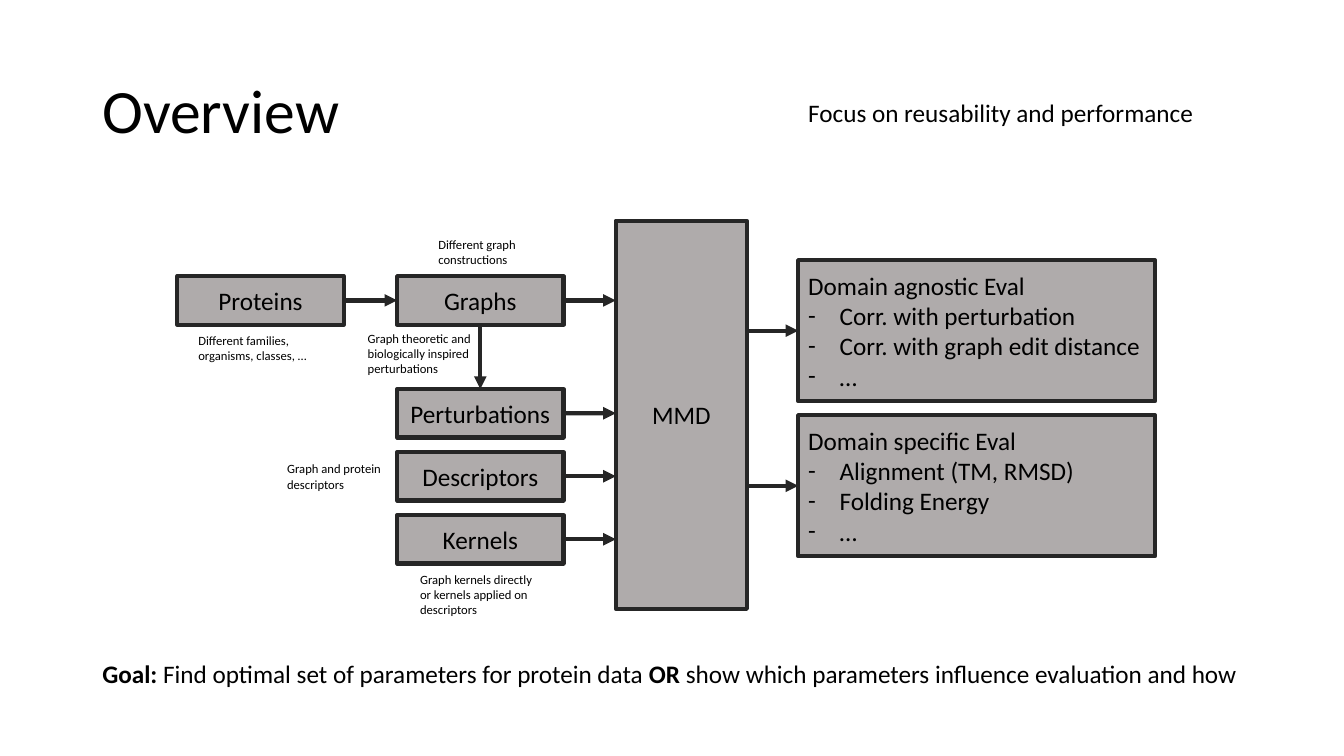
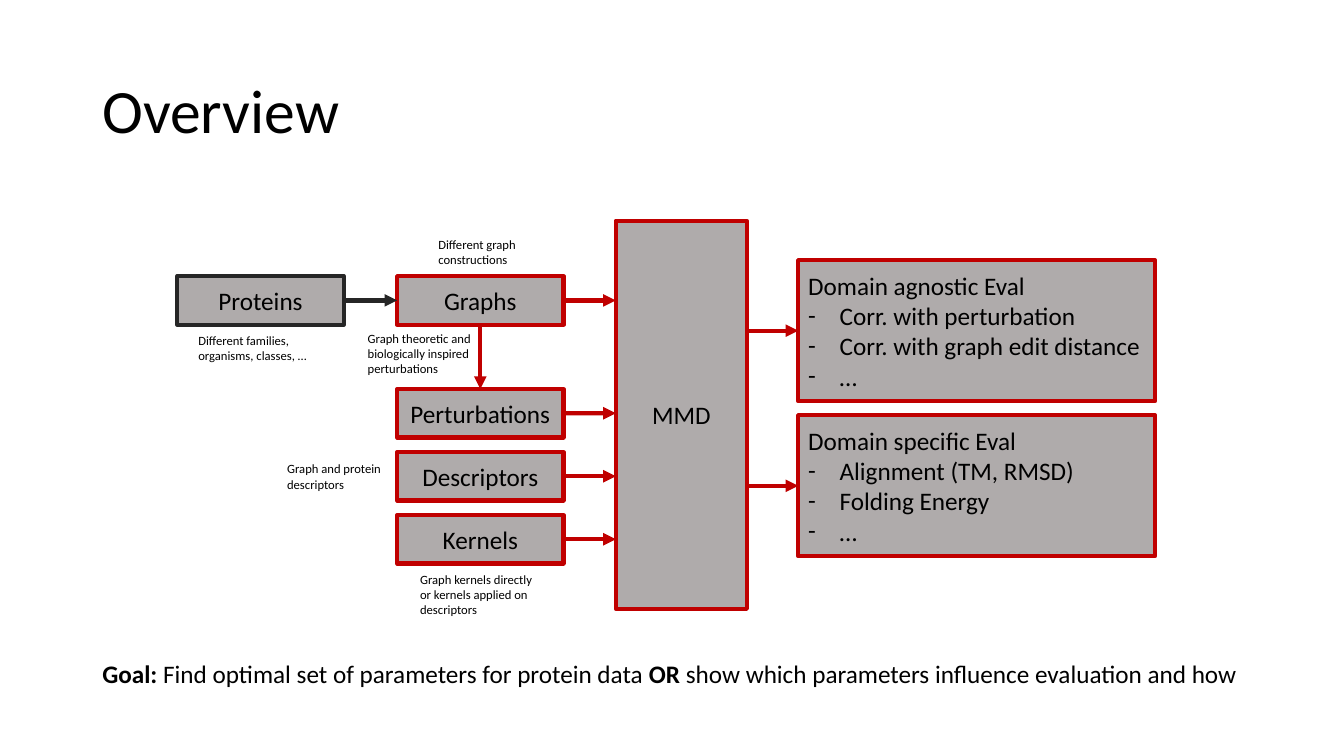
"""Build two overview slides of a graph evaluation pipeline."""
import dataclasses

import lxml.etree
import pptx
import pptx.dml.color
import pptx.enum.shapes
import pptx.enum.text
import pptx.oxml.ns
import pptx.shapes.autoshape
import pptx.slide
import pptx.text.text
import pptx.util

Pt = pptx.util.Pt
Align = pptx.enum.text.PP_ALIGN
Anchor = pptx.enum.text.MSO_ANCHOR

COLORS = {"text": "000000", "fill": "AFABAB", "neutral": "262626", "focus": "C00000"}
FONT = "Calibri"
BODY_SIZE, NOTE_SIZE, TITLE_SIZE = 18, 9, 44
OUTLINE = 3
BULLET_INDENT = 22.5
STEP_WIDTH, STEP_HEIGHT = 118.8, 34.6
COLUMN_LEFT, ROW_TOP = 283.7, 197.3
PERTURBATIONS_TOP, STEP_PITCH = 277.9, 45
EVAL_LEFT, EVAL_WIDTH, EVAL_HEIGHT = 570.2, 254.9, 100.8
EVAL_TOP, EVAL_PITCH = 185.8, 110.8
TOP_SITE, LEFT_SITE, BOTTOM_SITE, RIGHT_SITE = range(4)


@dataclasses.dataclass(frozen=True)
class Run:
    """A stretch of text with one weight."""
    text: str
    bold: bool = False


@dataclasses.dataclass(frozen=True)
class Box:
    """A pipeline stage, with optional bulleted details."""
    name: str
    left: float
    top: float
    width: float = STEP_WIDTH
    height: float = STEP_HEIGHT
    details: tuple[str, ...] = ()

    @property
    def right(self) -> float:
        """Return the right edge."""
        return self.left + self.width

    @property
    def middle(self) -> float:
        """Return the vertical centre."""
        return self.top + self.height / 2


@dataclasses.dataclass(frozen=True)
class Label:
    """Free text made of paragraphs of runs."""
    left: float
    top: float
    width: float
    height: float
    paragraphs: tuple[tuple[Run, ...], ...]
    size: float = NOTE_SIZE
    wrap: bool = True
    anchor: Anchor = Anchor.TOP
    line_spacing: float = 1.0


@dataclasses.dataclass(frozen=True)
class Overview:
    """What differs between the two slides."""
    pipeline_color: str
    extra_labels: tuple[Label, ...] = ()


PROTEINS = Box("Proteins", 126.7, ROW_TOP)
GRAPHS = Box("Graphs", COLUMN_LEFT, ROW_TOP)
PERTURBATIONS, DESCRIPTORS, KERNELS = (
    Box(name, COLUMN_LEFT, PERTURBATIONS_TOP + row * STEP_PITCH)
    for row, name in enumerate(("Perturbations", "Descriptors", "Kernels"))
)
MMD = Box("MMD", 439.9, 157.7, 93.6, 277.2)
AGNOSTIC, SPECIFIC = (
    Box(name, EVAL_LEFT, EVAL_TOP + row * EVAL_PITCH, EVAL_WIDTH, EVAL_HEIGHT, details)
    for row, (name, details) in enumerate((
        ("Domain agnostic Eval",
         ("Corr. with perturbation", "Corr. with graph edit distance", "…")),
        ("Domain specific Eval", ("Alignment (TM, RMSD)", "Folding Energy", "…")),
    ))
)
MMD_INPUTS = (GRAPHS, PERTURBATIONS, DESCRIPTORS, KERNELS)
EVALUATIONS = (AGNOSTIC, SPECIFIC)
STAGES = (PROTEINS, *MMD_INPUTS, MMD, *EVALUATIONS)
FLOWS = (
    (PROTEINS, GRAPHS),
    (GRAPHS, PERTURBATIONS),
    *((stage, MMD) for stage in MMD_INPUTS),
    *((MMD, evaluation) for evaluation in EVALUATIONS),
)

SHARED_LABELS = (
    Label(66, 28.8, 828, 104.4, ((Run("Overview"),),), TITLE_SIZE,
          anchor=Anchor.MIDDLE, line_spacing=0.9),
    Label(66, 466.6, 831, 29, ((
        Run("Goal: ", True),
        Run("Find optimal set of parameters for protein data "),
        Run("OR", True),
        Run(" show which parameters influence evaluation and how"),
    ),), BODY_SIZE, wrap=False),
    Label(134.6, 234, 93, 29,
          ((Run("Different families,"),), (Run("organisms, classes, …"),)), wrap=False),
    Label(198, 326, 85.7, 29, ((Run("Graph and protein descriptors"),),)),
    Label(306, 165.6, 85.7, 29, ((Run("Different graph constructions"),),)),
    Label(255.6, 232.6, 100.8, 40,
          ((Run("Graph theoretic and biologically inspired perturbations"),),)),
    Label(293, 404.6, 99.4, 40,
          ((Run("Graph kernels directly or kernels applied on descriptors"),),)),
)
REUSE_FOCUS = Label(570.2, 66.2, 293, 29,
                    ((Run("Focus on reusability and performance"),),), BODY_SIZE, wrap=False)
OVERVIEWS = (Overview("neutral", (REUSE_FOCUS,)), Overview("focus"))


def rgb(name: str) -> pptx.dml.color.RGBColor:
    """Look up a named colour."""
    return pptx.dml.color.RGBColor.from_string(COLORS[name])


def add_run(paragraph: pptx.text.text._Paragraph, content: Run, size: float) -> None:
    """Append one styled run."""
    run = paragraph.add_run()
    run.text = content.text
    run.font.name = FONT
    run.font.size = Pt(size)
    run.font.bold = content.bold
    run.font.color.rgb = rgb("text")


def add_dash(paragraph: pptx.text.text._Paragraph) -> None:
    """Give a paragraph a hanging dash bullet."""
    properties = paragraph._p.get_or_add_pPr()
    properties.set("marL", str(Pt(BULLET_INDENT)))
    properties.set("indent", str(-Pt(BULLET_INDENT)))
    lxml.etree.SubElement(properties, pptx.oxml.ns.qn("a:buFont"), typeface=FONT)
    lxml.etree.SubElement(properties, pptx.oxml.ns.qn("a:buChar"), char="-")


def draw_label(slide: pptx.slide.Slide, label: Label) -> None:
    """Draw free text."""
    frame = slide.shapes.add_textbox(
        Pt(label.left), Pt(label.top), Pt(label.width), Pt(label.height)).text_frame
    frame.word_wrap = label.wrap
    frame.vertical_anchor = label.anchor
    for index, runs in enumerate(label.paragraphs):
        paragraph = frame.add_paragraph() if index else frame.paragraphs[0]
        paragraph.line_spacing = label.line_spacing
        for run in runs:
            add_run(paragraph, run, label.size)


def draw_stage(slide: pptx.slide.Slide, box: Box,
               color: str) -> pptx.shapes.autoshape.Shape:
    """Draw a pipeline stage."""
    stage = slide.shapes.add_shape(
        pptx.enum.shapes.MSO_SHAPE.RECTANGLE,
        Pt(box.left), Pt(box.top), Pt(box.width), Pt(box.height))
    stage.shadow.inherit = False
    stage.fill.solid()
    stage.fill.fore_color.rgb = rgb("fill")
    stage.line.color.rgb = rgb(color)
    stage.line.width = Pt(OUTLINE)
    frame = stage.text_frame
    frame.word_wrap = True
    frame.vertical_anchor = Anchor.MIDDLE
    heading = frame.paragraphs[0]
    heading.alignment = Align.LEFT if box.details else Align.CENTER
    add_run(heading, Run(box.name), BODY_SIZE)
    for detail in box.details:
        paragraph = frame.add_paragraph()
        paragraph.alignment = Align.LEFT
        add_dash(paragraph)
        add_run(paragraph, Run(detail), BODY_SIZE)
    return stage


def draw_flow(slide: pptx.slide.Slide, source: Box, target: Box,
              stages: dict[str, pptx.shapes.autoshape.Shape], color: str) -> None:
    """Draw an arrow between stages, level with the shorter one."""
    level = min(source, target, key=lambda box: box.height).middle
    flow = slide.shapes.add_connector(
        pptx.enum.shapes.MSO_CONNECTOR.STRAIGHT,
        Pt(source.right), Pt(level), Pt(target.left), Pt(level))
    downward = source.left == target.left
    if source is not MMD:
        flow.begin_connect(stages[source.name], BOTTOM_SITE if downward else RIGHT_SITE)
    if target is not MMD:
        flow.end_connect(stages[target.name], TOP_SITE if downward else LEFT_SITE)
    flow.line.color.rgb = rgb(color)
    flow.line.width = Pt(OUTLINE)
    lxml.etree.SubElement(
        flow.line._get_or_add_ln(), pptx.oxml.ns.qn("a:tailEnd"), type="triangle")
    lxml.etree.SubElement(flow._element.spPr, pptx.oxml.ns.qn("a:effectLst"))


def draw_overview(slide: pptx.slide.Slide, overview: Overview) -> None:
    """Draw the whole pipeline on one slide."""
    colors = {box.name: overview.pipeline_color for box in STAGES}
    colors[PROTEINS.name] = "neutral"
    stages = {box.name: draw_stage(slide, box, colors[box.name]) for box in STAGES}
    for source, target in FLOWS:
        draw_flow(slide, source, target, stages, colors[source.name])
    for label in SHARED_LABELS + overview.extra_labels:
        draw_label(slide, label)


def main() -> None:
    """Build and save the presentation."""
    presentation = pptx.Presentation()
    presentation.slide_width, presentation.slide_height = Pt(960), Pt(540)
    for overview in OVERVIEWS:
        draw_overview(presentation.slides.add_slide(presentation.slide_layouts[6]), overview)
    presentation.save("out.pptx")


main()
